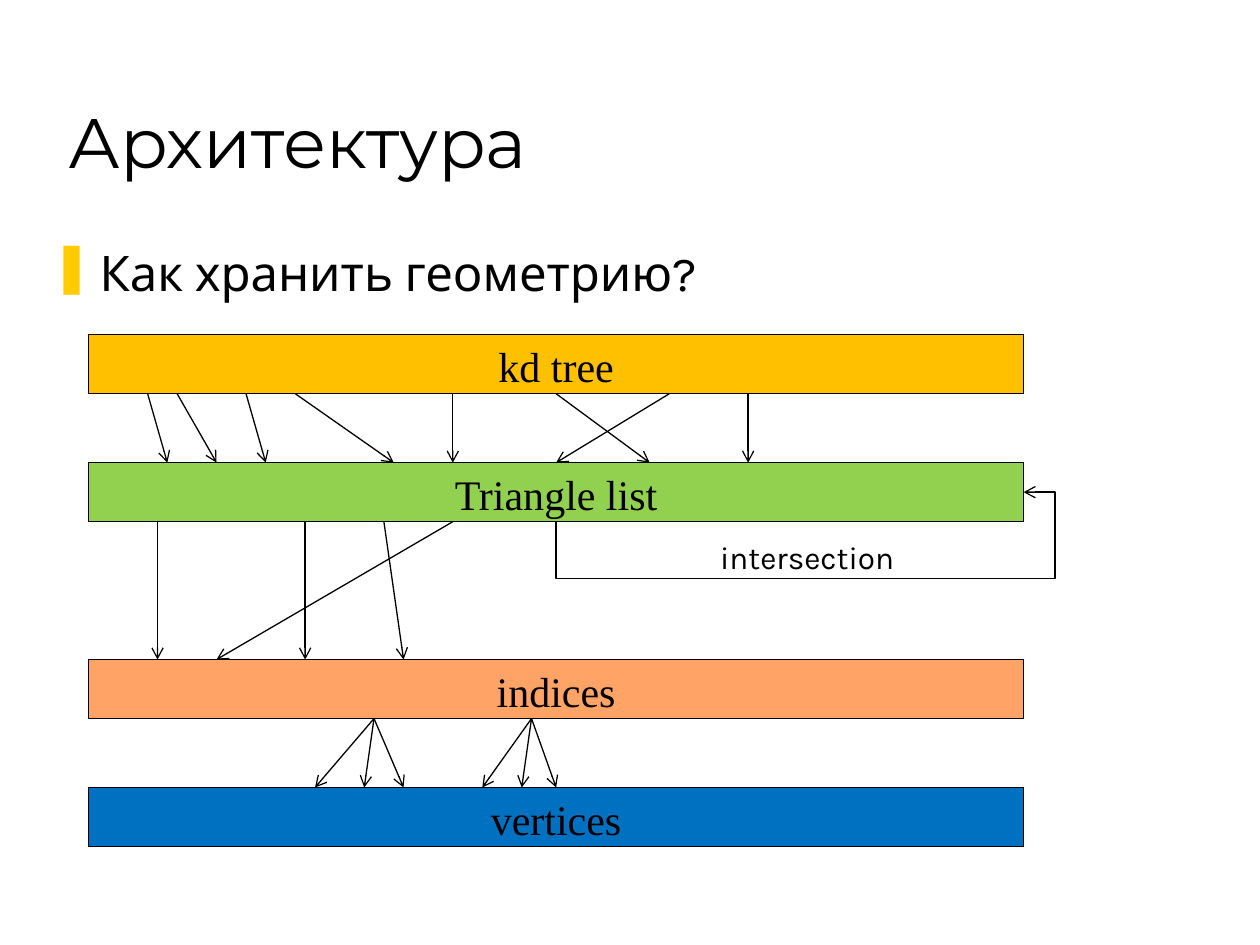
"""Build the geometry storage slide on a grid of 128 columns by 96 rows."""
from typing import NamedTuple

from lxml.etree import SubElement
from pptx import Presentation
from pptx.dml.color import RGBColor
from pptx.enum.shapes import MSO_CONNECTOR as Link, MSO_SHAPE as Form
from pptx.enum.text import MSO_ANCHOR as Anchor, MSO_AUTO_SIZE as Fit, PP_ALIGN as Align
from pptx.oxml.ns import qn
from pptx.util import Inches, Pt

CELL = 10 / 128
LEFT, WIDE, HIGH = 9, 95, 6
MID = LEFT + WIDE / 2
BLACK = "000000"


class Bar(NamedTuple):
    """A storage layer: its label, fill and top row."""
    label: str
    fill: str
    row: int


class Fan(NamedTuple):
    """Arrows from one layer to the next, as pairs of columns."""
    layer: int
    pairs: list


BARS = [
    Bar("kd tree", "FFC000", 34),
    Bar("Triangle list", "92D050", 47),
    Bar("indices", "FFA366", 67),
    Bar("vertices", "0070C0", 80),
]
FANS = [
    Fan(0, [(15, 17), (18, 22), (25, 27), (30, 40), (46, 46), (MID, 66), (68, MID), (76, 76)]),
    Fan(1, [(16, 16), (31, 31), (39, 41), (46, 22)]),
    Fan(2, [(38, 32), (38, 37), (38, 41), (54, 49), (54, 53), (54, MID)]),
]


def grid(*cells: float) -> list:
    """Turn grid cells into lengths."""
    return [Inches(cell * CELL) for cell in cells]


def paint(part, hue: str) -> None:
    """Give a font, fill or line a solid colour."""
    fill = part if hasattr(part, "solid") else part.fill
    fill.solid()
    fill.fore_color.rgb = RGBColor.from_string(hue)


def write(frame, text: str, face: str, size: int, align=Align.LEFT) -> None:
    """Fill a text frame with one formatted paragraph."""
    frame.word_wrap = True
    frame.text = text
    para = frame.paragraphs[0]
    para.alignment = align
    for run in para.runs:
        run.font.name, run.font.size = face, Pt(size)
        paint(run.font, BLACK)


def bullet(para, mark: str, hue: str) -> None:
    """Add a coloured bullet with a hanging indent."""
    props = para._p.get_or_add_pPr()
    dent = Inches(0.38)
    props.set("marL", str(dent))
    props.set("indent", str(-dent))
    SubElement(SubElement(props, qn("a:buClr")), qn("a:srgbClr"), val=hue)
    SubElement(props, qn("a:buChar"), char=mark)


def draw_bar(slide, bar: Bar):
    """Draw one layer and return its shape."""
    box = slide.shapes.add_shape(Form.RECTANGLE, *grid(LEFT, bar.row, WIDE, HIGH))
    box.shadow.inherit = False
    paint(box.fill, bar.fill)
    paint(box.line, BLACK)
    box.line.width = Pt(0.75)
    box.text_frame.vertical_anchor = Anchor.TOP
    write(box.text_frame, bar.label, "Times New Roman", 24, Align.CENTER)
    return box


def draw_link(slide, kind, ends: tuple):
    """Draw a thin black arrow between two grid points."""
    link = slide.shapes.add_connector(kind, *grid(*ends))
    paint(link.line, BLACK)
    link.line.width = Pt(0.75)
    SubElement(link.line._get_or_add_ln(), qn("a:tailEnd"), type="arrow")
    SubElement(link._element.spPr, qn("a:effectLst"))
    return link


def draw_fan(slide, fan: Fan, boxes: list) -> None:
    """Draw the arrows from a layer down to the next one."""
    top, low = BARS[fan.layer].row + HIGH, BARS[fan.layer + 1].row
    for start, end in fan.pairs:
        link = draw_link(slide, Link.STRAIGHT, (start, top, end, low))
        if start == MID:
            link.begin_connect(boxes[fan.layer], 2)
        if end == MID:
            link.end_connect(boxes[fan.layer + 1], 0)


def draw_loop(slide, box, row: int) -> None:
    """Draw the elbow arrow from the bottom of a layer to its right side."""
    right, base, side = LEFT + WIDE, row + HIGH, row + HIGH / 2
    link = draw_link(slide, Link.ELBOW, (MID, base, right, side))
    link.begin_connect(box, 2)
    link.end_connect(box, 3)
    wide, high = base - side, right - MID
    link.left, link.top, link.width, link.height = grid(
        (MID + right - wide) / 2, (base + side - high) / 2, wide, high)
    props = link._element.spPr
    frame = props.find(qn("a:xfrm"))
    for key, val in (("rot", "5400000"), ("flipH", "1"), ("flipV", "1")):
        frame.set(key, val)
    geom = props.find(qn("a:prstGeom"))
    geom.set("prst", "bentConnector4")
    for name, val in (("adj1", -192800), ("adj2", 106700)):
        SubElement(geom.find(qn("a:avLst")), qn("a:gd"), name=name, fmla=f"val {val}")


def main() -> None:
    """Build and save the slide."""
    deck = Presentation()
    deck.slide_width, deck.slide_height = Inches(10), Inches(7.5)
    slide = deck.slides.add_slide(deck.slide_layouts[5])

    title = slide.shapes.title
    title.left, title.top, title.width, title.height = map(Inches, (0.44, 0.25, 8.5, 1.25))
    title.text_frame.vertical_anchor = Anchor.BOTTOM
    title.text_frame.auto_size = Fit.NONE
    write(title.text_frame, "Архитектура", "Montserrat", 40)

    body = slide.shapes.add_textbox(*grid(4, 24, 117, 29)).text_frame
    write(body, "Как хранить геометрию?", "Karla", 28)
    bullet(body.paragraphs[0], "❚", "FFCC00")

    boxes = [draw_bar(slide, bar) for bar in BARS]
    for fan in FANS:
        draw_fan(slide, fan, boxes)
    draw_loop(slide, boxes[1], BARS[1].row)

    note = slide.shapes.add_textbox(*grid(60, 54, 44, 5)).text_frame
    note.auto_size = Fit.SHAPE_TO_FIT_TEXT
    write(note, "intersection", "Karla", 18, Align.CENTER)
    deck.save("out.pptx")


if __name__ == "__main__":
    main()
